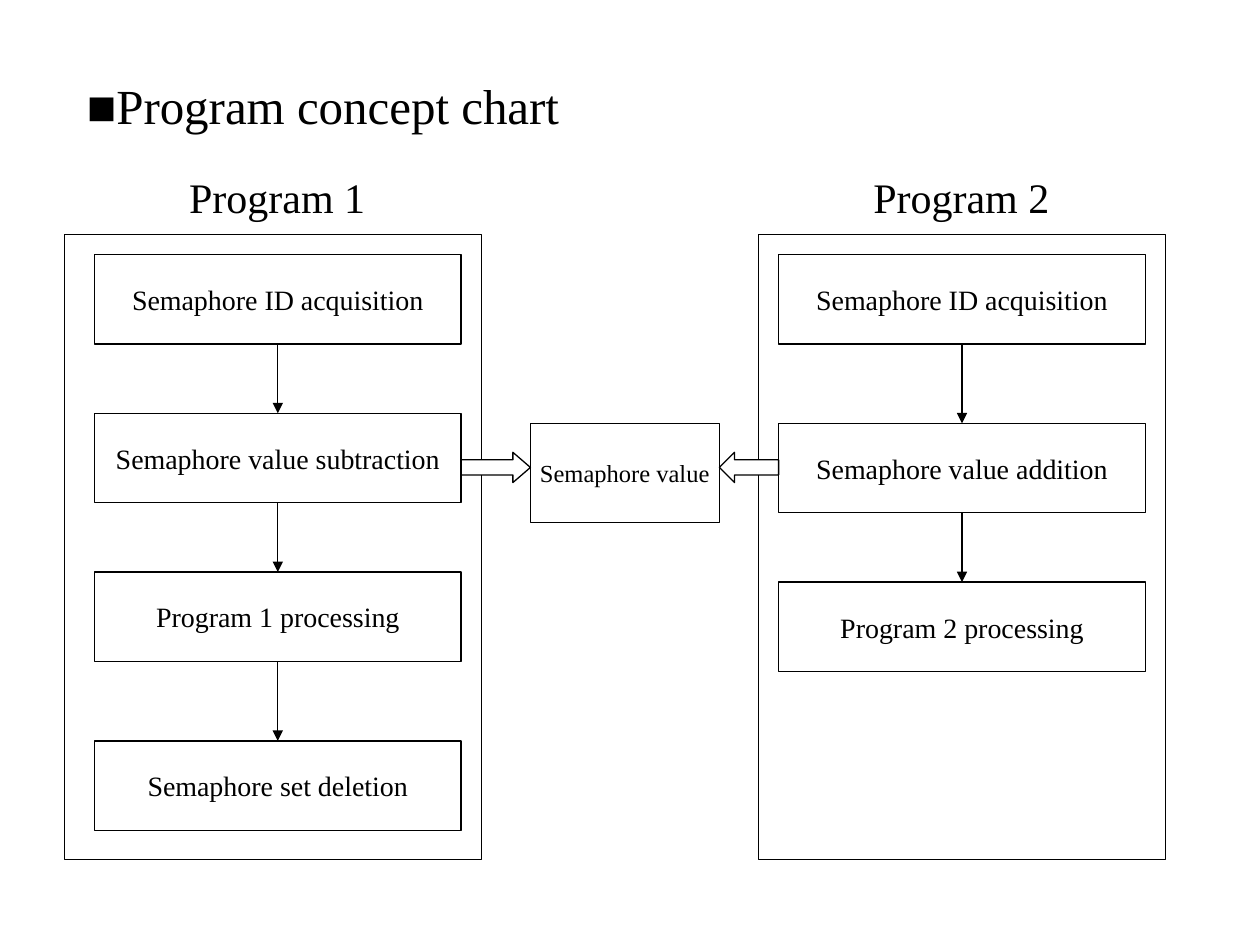
from dataclasses import dataclass

from lxml.etree import SubElement
from pptx import Presentation
from pptx.dml.color import RGBColor
from pptx.enum.shapes import MSO_CONNECTOR as Link, MSO_SHAPE as Kind
from pptx.enum.text import MSO_ANCHOR as Anchor, PP_ALIGN as Align
from pptx.oxml.ns import qn
from pptx.util import Inches, Pt

FONT = "Times New Roman"
INK, PAPER = "000000", "FFFFFF"
STEP_W, STEP_H = 2.91, 0.71
FRAME_TOP, FRAME_H = 1.86, 4.96


@dataclass
class Step:
    top: float
    text: str


@dataclass
class Program:
    name: str
    frame_x: float
    frame_w: float
    step_x: float
    steps: list[Step]


PROGRAMS = [
    Program("Program 1", 0.51, 3.31, 0.75, [
        Step(2.02, "Semaphore ID acquisition"),
        Step(3.28, "Semaphore value subtraction"),
        Step(4.54, "Program 1 processing"),
        Step(5.88, "Semaphore set deletion"),
    ]),
    Program("Program 2", 6.02, 3.23, 6.18, [
        Step(2.02, "Semaphore ID acquisition"),
        Step(3.36, "Semaphore value addition"),
        Step(4.62, "Program 2 processing"),
    ]),
]


def color(code: str) -> RGBColor:
    return RGBColor.from_string(code)


def write(shape, text: str, size: int, align: Align) -> None:
    frame = shape.text_frame
    frame.text = text
    frame.vertical_anchor = Anchor.MIDDLE
    para = frame.paragraphs[0]
    para.alignment = align
    font = para.runs[0].font
    font.name, font.size = FONT, Pt(size)
    font.color.rgb = color(INK)


def add_box(slide, kind: Kind, x: float, y: float, w: float, h: float,
            text: str = "", size: int = 16):
    box = slide.shapes.add_shape(kind, Inches(x), Inches(y), Inches(w), Inches(h))
    box.shadow.inherit = False
    box.fill.solid()
    box.fill.fore_color.rgb = color(PAPER)
    box.line.color.rgb = color(INK)
    box.line.width = Pt(0.75)
    if text:
        write(box, text, size, Align.CENTER)
        box.text_frame.word_wrap = False
    return box


def add_label(slide, x: float, y: float, w: float, h: float,
              text: str, size: int, align: Align) -> None:
    label = slide.shapes.add_textbox(Inches(x), Inches(y), Inches(w), Inches(h))
    label.text_frame.word_wrap = True
    write(label, text, size, align)


def join(slide, upper, lower) -> None:
    line = slide.shapes.add_connector(Link.STRAIGHT, 0, 0, 0, 0)
    line.begin_connect(upper, 2)
    line.end_connect(lower, 0)
    line.line.color.rgb = color(INK)
    line.line.width = Pt(0.75)
    SubElement(line.line._get_or_add_ln(), qn("a:tailEnd"), type="triangle")
    SubElement(line._element.spPr, qn("a:effectLst"))


def add_program(slide, prog: Program) -> None:
    add_box(slide, Kind.FLOWCHART_PROCESS, prog.frame_x, FRAME_TOP, prog.frame_w, FRAME_H)
    add_label(slide, prog.step_x + 0.23, 1.31, 2.44, 0.5, prog.name, 24, Align.CENTER)
    boxes = [add_box(slide, Kind.RECTANGLE, prog.step_x, step.top, STEP_W, STEP_H, step.text)
             for step in prog.steps]
    for upper, lower in zip(boxes, boxes[1:]):
        join(slide, upper, lower)


def main() -> None:
    """Build the chart of two programs that share a semaphore value."""
    deck = Presentation()
    deck.slide_width, deck.slide_height = Inches(10), Inches(7.5)
    slide = deck.slides.add_slide(deck.slide_layouts[6])
    add_label(slide, 0.59, 0.52, 8.35, 0.63, "■Program concept chart", 28, Align.LEFT)
    for prog in PROGRAMS:
        add_program(slide, prog)
    add_box(slide, Kind.RECTANGLE, 4.21, 3.36, 1.5, 0.79, "Semaphore value", 14)
    add_box(slide, Kind.RIGHT_ARROW, 3.66, 3.59, 0.55, 0.24).adjustments[1] = 0.58
    add_box(slide, Kind.LEFT_ARROW, 5.71, 3.59, 0.47, 0.24)
    deck.save("out.pptx")


if __name__ == "__main__":
    main()
